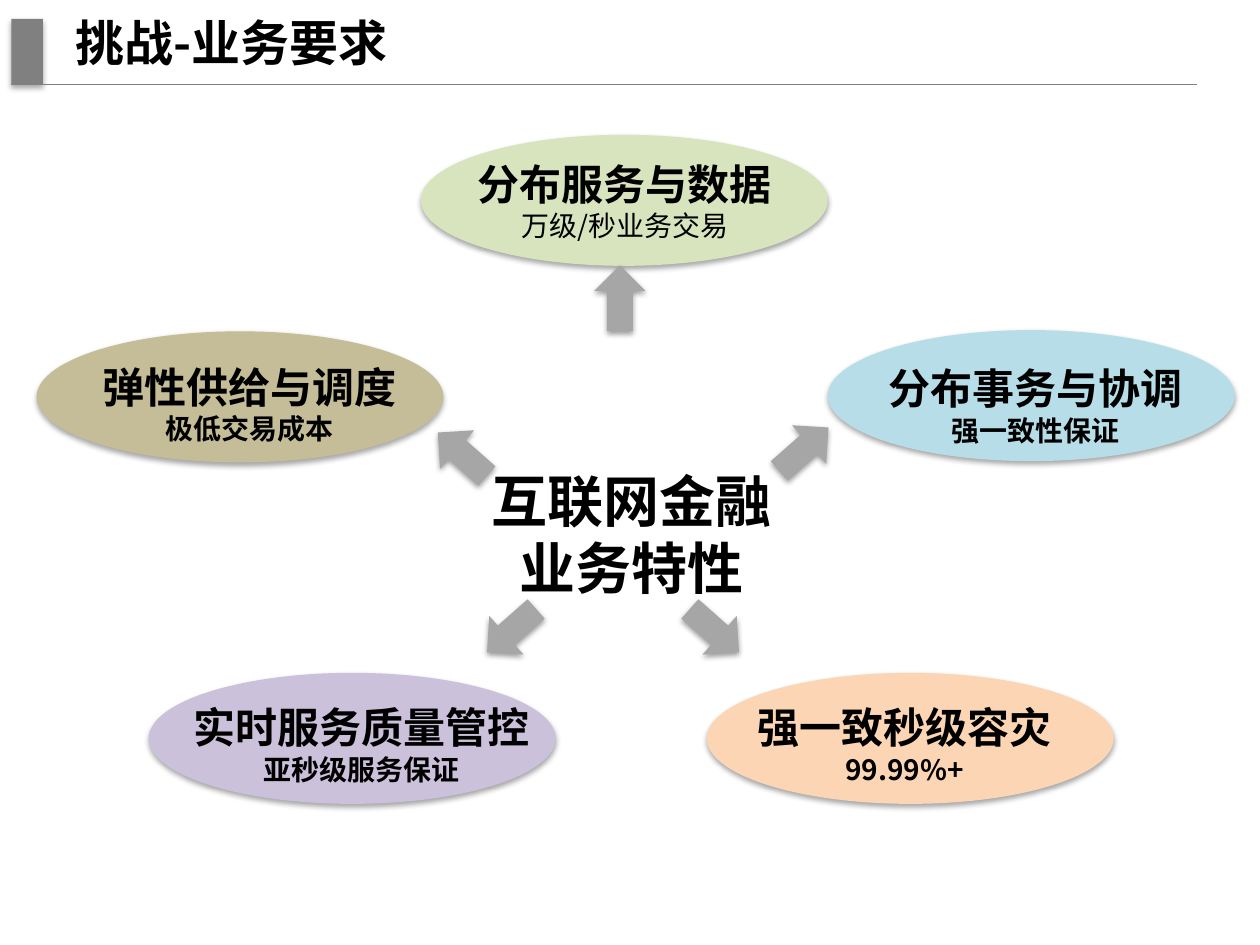
from pptx import Presentation
from pptx.util import Inches as In, Pt
from pptx.dml.color import RGBColor as RGB
from pptx.enum.shapes import MSO_SHAPE as Shape, MSO_CONNECTOR as Conn
from pptx.enum.text import PP_ALIGN as Align, MSO_ANCHOR as Anchor, MSO_AUTO_SIZE as Auto
from pptx.oxml import parse_xml
from pptx.oxml.ns import qn, nsdecls

# Content
TITLE = "挑战-业务要求"
CORE = "互联网金融业务特性"
HUE = dict(ink="000000", bar="808080", arrow="A6A6A6", tan="C4BD97",
           violet="CCC1DA", peach="FCD5B5", blue="B7DEE8", green="D7E4BD")
FONT = "Noto Sans CJK SC"

# Heading, detail, detail bold, colour, oval left and top, label centre x and top
GOALS = [
    ("弹性供给与调度", "极低交易成本", True, "tan", (0.29, 2.63), (1.98, 2.82)),
    ("实时服务质量管控", "亚秒级服务保证", True, "violet", (1.18, 5.34), (2.87, 5.52)),
    ("强一致秒级容灾", "99.99%+", True, "peach", (5.61, 5.34), (7.18, 5.52)),
    ("分布事务与协调", "强一致性保证", True, "blue", (6.57, 2.62), (8.22, 2.83)),
    ("分布服务与数据", "万级/秒业务交易", False, "green", (3.34, 1.07), (4.96, 1.21)),
]
OVAL = (3.23, 1.04)
HEAD, NOTE = 24, 16
PAD, TALL = 0.24, 0.77
ARROW = (0.52, 0.41)
TILT = 41.5
# Arrow left, top, clockwise turn from pointing right
ARROWS = [(4.66, 2.16, 270), (6.12, 3.36, 360 - TILT), (3.41, 3.4, 180 + TILT),
          (3.8, 4.8, 180 - TILT), (5.41, 4.8, TILT)]

deck = Presentation()
deck.slide_width, deck.slide_height = In(10), In(7.5)
slide = deck.slides.add_slide(deck.slide_layouts[5])
parts = slide.shapes


def write(para, text, size, bold=True, font=FONT, align=Align.CENTER):
    para.alignment = align
    run = para.add_run()
    run.text = text
    run.font.size, run.font.bold, run.font.name = Pt(size), bold, font
    run.font.color.rgb = RGB.from_string(HUE["ink"])
    east = run._r.get_or_add_rPr().makeelement(qn("a:ea"), {"typeface": FONT})
    run._r.rPr.find(qn("a:latin")).addnext(east)


def draw(kind, box, hue, turn=0, drop=23000, alpha=35000):
    part = parts.add_shape(kind, *map(In, box))
    part.fill.solid()
    part.fill.fore_color.rgb = RGB.from_string(HUE[hue])
    part.line.fill.background()
    part.rotation = turn
    # Soft shadow below the shape
    part._element.spPr.append(parse_xml(
        f'<a:effectLst {nsdecls("a")}><a:outerShdw blurRad="40000" dist="{drop}" '
        f'dir="5400000" rotWithShape="0"><a:srgbClr val="{HUE["ink"]}">'
        f'<a:alpha val="{alpha}"/></a:srgbClr></a:outerShdw></a:effectLst>'))


def textbox(box, wrap):
    frame = parts.add_textbox(*map(In, box)).text_frame
    frame.word_wrap = wrap
    frame.auto_size = Auto.SHAPE_TO_FIT_TEXT
    return frame


# Title band
draw(Shape.RECTANGLE, (0.09, 0.15, 0.25, 0.52), "bar")
rule = parts.add_connector(Conn.STRAIGHT, In(0.09), In(0.67), In(9.5), In(0.67))
rule.line.color.rgb = RGB.from_string(HUE["bar"])
rule.line.width = Pt(0.25)
rule._element.spPr.append(parse_xml(f'<a:effectLst {nsdecls("a")}/>'))
head = parts.title
head.left, head.top, head.width, head.height = map(In, (0.5, 0, 9.5, 0.67))
head.text_frame.vertical_anchor = Anchor.MIDDLE
head.text_frame.auto_size = Auto.NONE
write(head.text_frame.paragraphs[0], TITLE, 28, align=Align.LEFT)

# Ovals, then the core text and labels over them
for *_, hue, spot, _ in GOALS:
    draw(Shape.OVAL, spot + OVAL, hue)
write(textbox((3.74, 3.65, 2.54, 1.18), True).paragraphs[0], CORE, 32, font="Calibri")
for name, note, bold, _, _, (mid, top) in GOALS:
    # Each heading character is one em wide
    wide = len(name) * HEAD / 72 + PAD
    frame = textbox((mid - wide / 2, top, wide, TALL), False)
    write(frame.paragraphs[0], name, HEAD)
    write(frame.add_paragraph(), note, NOTE, bold)

# Arrows out of the core
for left, top, turn in ARROWS:
    draw(Shape.RIGHT_ARROW, (left, top) + ARROW, "arrow", turn, 20000, 38000)

deck.save("out.pptx")
